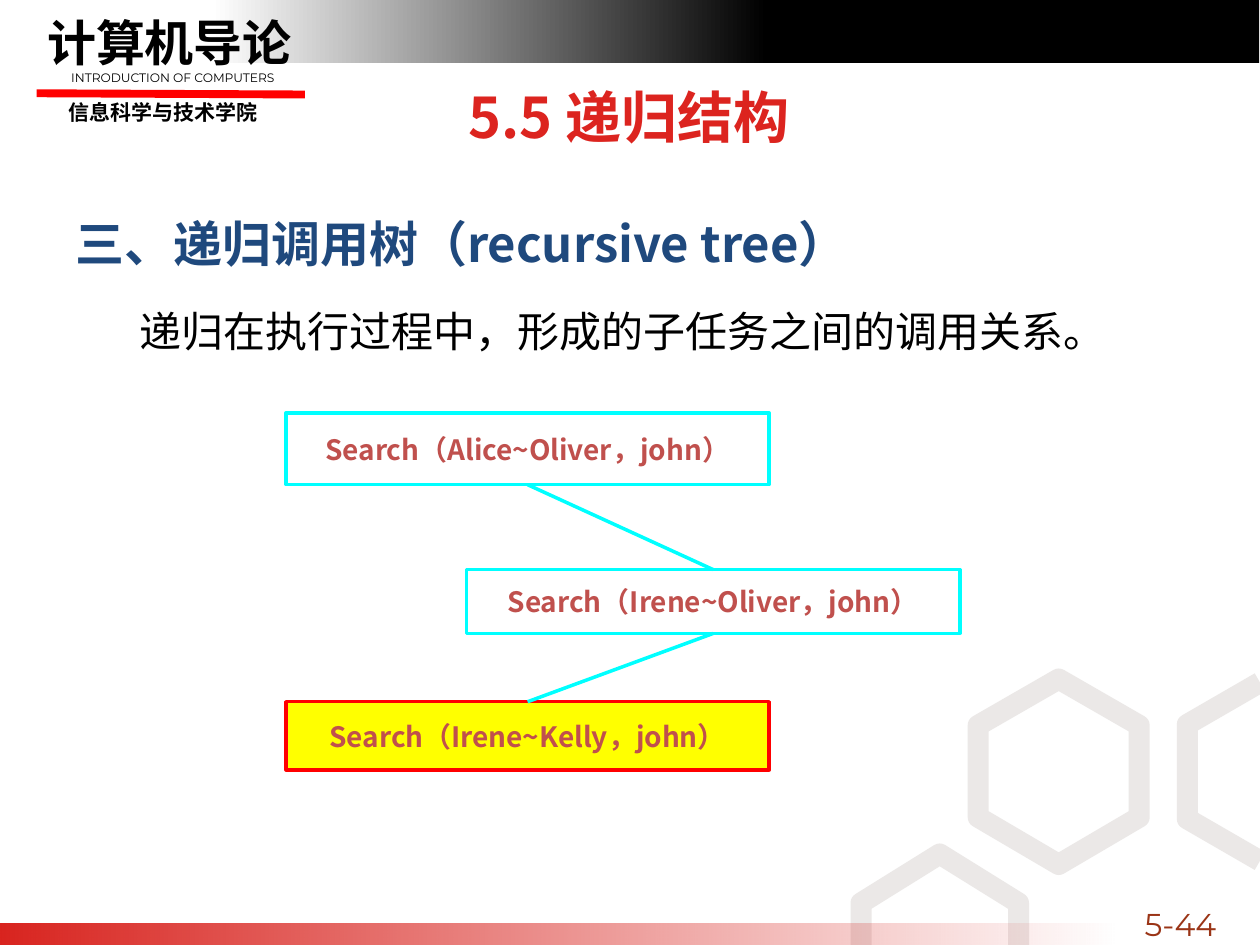
import pptx
import pptx.dml.color
import pptx.enum.shapes
import pptx.enum.text
import pptx.oxml
import pptx.oxml.ns
import pptx.util
from dataclasses import dataclass
from lxml import etree

Pt = pptx.util.Pt
qn = pptx.oxml.ns.qn
Align = pptx.enum.text.PP_ALIGN
Anchor = pptx.enum.text.MSO_ANCHOR
RECTANGLE = pptx.enum.shapes.MSO_SHAPE.RECTANGLE


@dataclass(frozen=True)
class Theme:
    cjk: str = "Noto Sans CJK SC"
    latin: str = "Montserrat"
    black: str = "000000"
    white: str = "FFFFFF"
    rule: str = "FF0000"
    footer: str = "D9241F"
    title: str = "DC241F"
    heading: str = "1F497D"
    number: str = "9A3416"
    hexagon: str = "BDB6B0"
    node_text: str = "C0504D"
    node_line: str = "00FFFF"
    hit_fill: str = "FFFF00"
    title_size: float = 32
    heading_size: float = 28
    body_size: float = 24
    number_size: float = 18
    node_size: float = 16
    school_size: float = 12
    caption_size: float = 7


THEME = Theme()


def rgb(value):
    return pptx.dml.color.RGBColor.from_string(value)


def points(*values):
    return [Pt(value) for value in values]


def add_alpha(color_element, percent):
    etree.SubElement(color_element, qn("a:alpha"), val=str(percent * 1000))


def write(para, text, size, color, font=THEME.cjk, bold=False):
    span = para.add_run()
    span.text = text
    span.font.size = Pt(size)
    span.font.bold = bold
    span.font.name = font
    span.font.color.rgb = rgb(color)
    etree.SubElement(span.font._element, qn("a:ea"), typeface=font)


def add_label(page, box, text, size, color, font=THEME.cjk, bold=False, anchor=Anchor.TOP):
    frame = page.shapes.add_textbox(*points(*box)).text_frame
    frame.word_wrap = True
    frame.vertical_anchor = anchor
    para = frame.paragraphs[0]
    para.alignment = Align.CENTER
    write(para, text, size, color, font, bold)


def add_rectangle(page, box):
    shape = page.shapes.add_shape(RECTANGLE, *points(*box))
    shape.shadow.inherit = False
    shape.line.fill.background()
    return shape


def add_gradient(page, box, start, end):
    fill = add_rectangle(page, box).fill
    fill.gradient()
    fill.gradient_angle = 0
    for stop, color in zip(fill.gradient_stops, (start, end)):
        stop.color.rgb = rgb(color)
    return fill


def style_line(connector, color, width):
    connector.line.color.rgb = rgb(color)
    connector.line.width = Pt(width)
    etree.SubElement(connector.element.spPr, qn("a:effectLst"))


def add_header(page, box):
    left, top, width, height = box
    solid = add_rectangle(page, (left + 276.5, top + 0.5, width - 276.5, height - 0.5))
    solid.fill.solid()
    solid.fill.fore_color.rgb = rgb(THEME.black)
    add_gradient(page, (left, top, 317.5, height), THEME.white, THEME.black)


def add_course_mark(page, box):
    left, top, width, height = box
    add_label(page, (left, top + 49.7, 170.6, 22.3), "信息科学与技术学院",
              THEME.school_size, THEME.black, bold=True)
    add_label(page, (left + 3.6, top, 170.6, 41.8), "计算机导论",
              THEME.heading_size, THEME.black, bold=True)
    rule = page.shapes.add_connector(
        pptx.enum.shapes.MSO_CONNECTOR.STRAIGHT,
        *points(left + 13, top + 49.7, left + width, top + 50.4))
    style_line(rule, THEME.rule, 4.5)
    add_label(page, (left + 13, top + 33.1, 155.5, 15.8), "INTRODUCTION OF COMPUTERS",
              THEME.caption_size, THEME.black, THEME.latin)


def add_honeycomb(page, box):
    """Draw one whole hexagon and two cut off by the page edges."""
    left, top, width, height = box
    outlines = [
        ([(67, 26.5), (113, 0), (159, 26.5), (159, 79), (113, 106), (67, 79)], True),
        ([(0, height), (0, 128), (45, 100), (90, 128), (90, height)], False),
        ([(width, 2), (186.5, 26), (186.5, 80), (width, 104)], False),
    ]
    for corners, closed in outlines:
        first, *rest = [(Pt(left + x), Pt(top + y)) for x, y in corners]
        builder = page.shapes.build_freeform(*first, scale=1.0)
        builder.add_line_segments(rest, close=closed)
        shape = builder.convert_to_shape()
        shape.shadow.inherit = False
        shape.fill.background()
        shape.line.width = Pt(12)
        shape.line.color.rgb = rgb(THEME.hexagon)
        outline = shape.element.spPr.find(qn("a:ln"))
        add_alpha(outline.find(".//" + qn("a:srgbClr")), 30)
        etree.SubElement(outline, qn("a:round"))


def add_footer(page, box):
    left, top, width, height = box
    fill = add_gradient(page, (left, top + 14.5, 639, 12), THEME.footer, THEME.footer)
    colors = fill._xPr.findall(".//" + qn("a:srgbClr"))
    add_alpha(colors[-1], 0)
    add_label(page, (left + width - 88, top, 85, 29), "5-44", THEME.number_size,
              THEME.number, THEME.latin, anchor=Anchor.MIDDLE)


def place_placeholder(holder, box, anchor):
    """Move a placeholder to its box, in front of the decoration."""
    holder.left, holder.top, holder.width, holder.height = points(*box)
    holder.element.getparent().append(holder.element)
    frame = holder.text_frame
    frame.auto_size = pptx.enum.text.MSO_AUTO_SIZE.NONE
    frame.vertical_anchor = anchor
    return frame


def add_title(page, box):
    para = place_placeholder(page.shapes.title, box, Anchor.MIDDLE).paragraphs[0]
    para.alignment = Align.CENTER
    write(para, "5.5 递归结构", THEME.title_size, THEME.title, bold=True)


def add_body(page, box):
    frame = place_placeholder(page.placeholders[1], box, Anchor.TOP)
    lines = [
        ("三、递归调用树（recursive tree）", THEME.heading_size, THEME.heading, True, -36),
        ("递归在执行过程中，形成的子任务之间的调用关系。", THEME.body_size, THEME.black, False, 0.5),
    ]
    for level, (text, size, color, bold, indent) in enumerate(lines):
        para = frame.add_paragraph() if level else frame.paragraphs[0]
        para.level = level
        para.alignment = Align.LEFT
        para.line_spacing = 1.5
        para.space_before = Pt(0.2 * size)
        properties = para._p.get_or_add_pPr()
        properties.set("marL", str(Pt(36)))
        properties.set("indent", str(Pt(indent)))
        etree.SubElement(properties, qn("a:buNone"))
        write(para, text, size, color, bold=bold)


def add_node(page, box, text, line, fill=None):
    node = add_rectangle(page, box)
    if fill:
        node.fill.solid()
        node.fill.fore_color.rgb = rgb(fill)
    else:
        node.fill.background()
    node.line.color.rgb = rgb(line)
    node.line.width = Pt(2)
    node.text_frame.vertical_anchor = Anchor.MIDDLE
    para = node.text_frame.paragraphs[0]
    para.alignment = Align.CENTER
    write(para, text, THEME.node_size, THEME.node_text, bold=True)
    return node


def add_call_tree(page, box):
    left, top, width, height = box
    nodes = [
        add_node(page, (left, top, 276, 41), "Search（Alice~Oliver，john）", THEME.node_line),
        add_node(page, (left + width - 282, top + 89.5, 282, 36.5),
                 "Search（Irene~Oliver，john）", THEME.node_line),
        add_node(page, (left, top + height - 39, 276, 39),
                 "Search（Irene~Kelly，john）", THEME.rule, THEME.hit_fill),
    ]
    for caller, called in zip(nodes, nodes[1:]):
        link = page.shapes.add_connector(pptx.enum.shapes.MSO_CONNECTOR.STRAIGHT, 0, 0, 0, 0)
        link.begin_connect(caller, 2)
        link.end_connect(called, 0)
        style_line(link, THEME.node_line, 2)


def main():
    deck = pptx.Presentation()
    deck.slide_width, deck.slide_height = points(720, 540)
    page = deck.slides.add_slide(deck.slide_layouts[1])
    add_header(page, (121, -0.5, 598.5, 36.5))
    add_course_mark(page, (8, 3.6, 166.2, 72))
    add_honeycomb(page, (492, 388, 228, 152))
    add_footer(page, (-0.5, 513.5, 720.5, 29))
    add_title(page, (36, 43, 647, 47))
    add_body(page, (36, 101.5, 667.5, 381))
    add_call_tree(page, (163.5, 236, 385, 204))
    deck.save("out.pptx")


if __name__ == "__main__":
    main()
